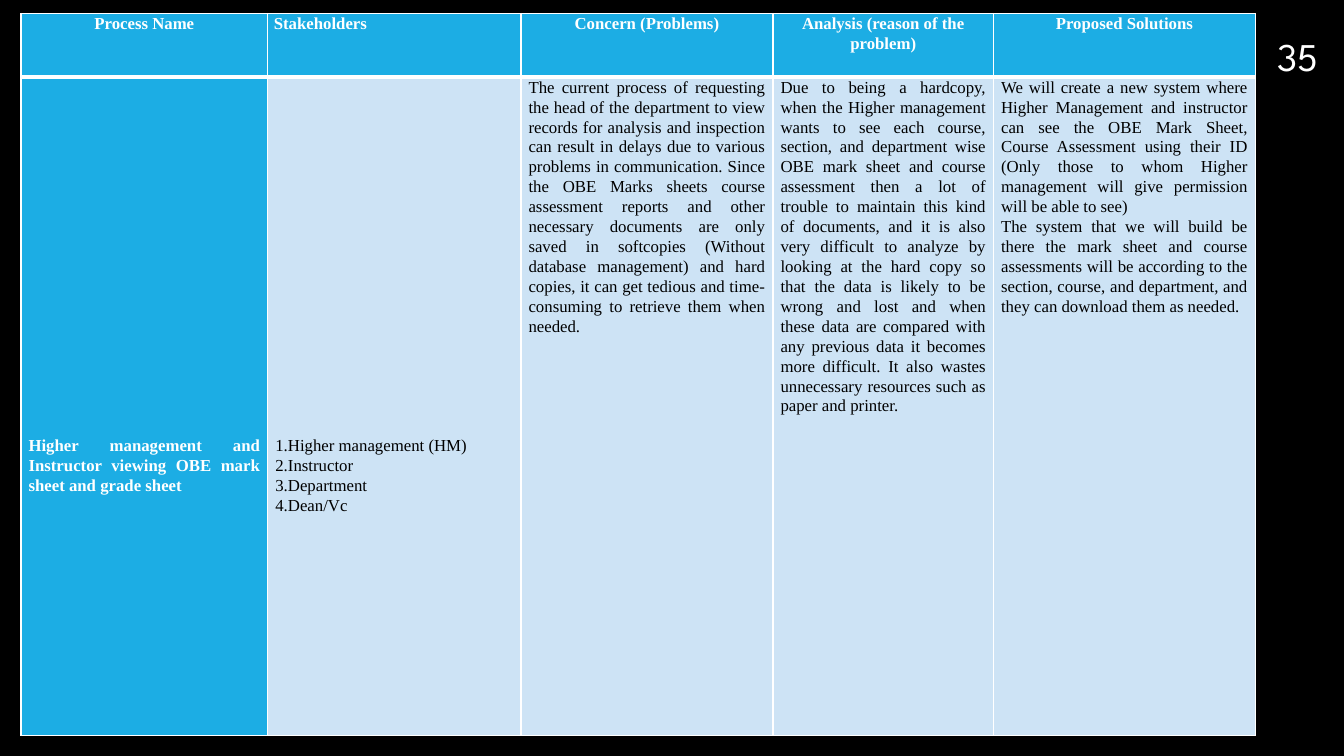
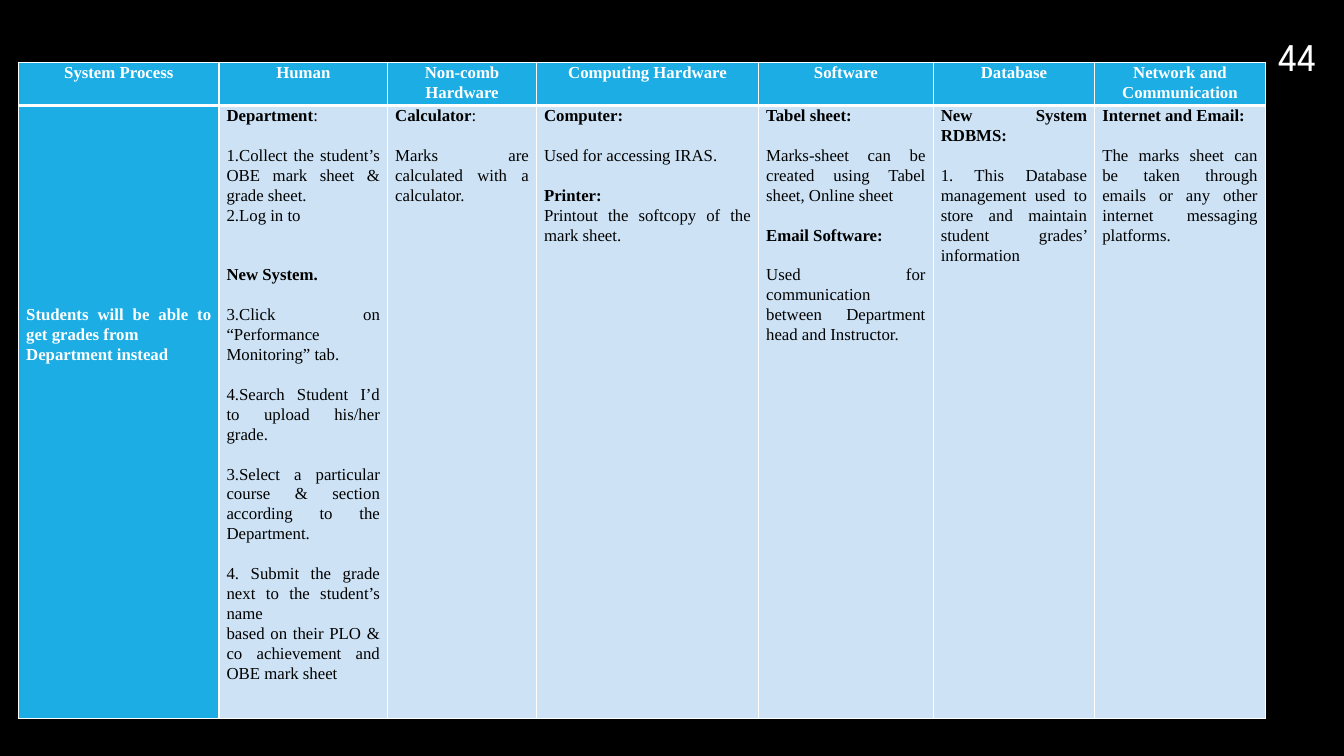
from lxml import etree
from pptx import Presentation
from pptx.dml.color import RGBColor
from pptx.enum.text import MSO_ANCHOR, PP_ALIGN
from pptx.oxml.ns import qn
from pptx.util import Cm, Pt

LEFT, CENTER, JUSTIFY = PP_ALIGN.LEFT, PP_ALIGN.CENTER, PP_ALIGN.JUSTIFY
BOTTOM = MSO_ANCHOR.BOTTOM
BLACK, WHITE, BLUE, PALE = "000000", "FFFFFF", "1CADE4", "CDE3F5"
BODY_FONT, NUMBER_FONT = "Times New Roman", "League Spartan"
LINE_PITCH = 14.2
BODY_INSET = 0.19

CONCERN_HEADERS = [
    "Process Name", "Stakeholders", "Concern (Problems)",
    "Analysis (reason of the problem)", "Proposed Solutions",
]
# Each paragraph is (bold text, regular text, blank lines before).
CONCERN_CELLS = [
    [("Higher management and Instructor viewing OBE mark sheet and grade sheet", "", 0)],
    [
        ("", "1.Higher management (HM)", 0),
        ("", "2.Instructor", 0),
        ("", "3.Department", 0),
        ("", "4.Dean/Vc", 0),
    ],
    [("", "The current process of requesting the head of the department to view records "
      "for analysis and inspection can result in delays due to various problems in "
      "communication. Since the OBE Marks sheets course assessment reports and other "
      "necessary documents are only saved in softcopies (Without database management) "
      "and hard copies, it can get tedious and time-consuming to retrieve them when "
      "needed.", 0)],
    [("", "Due to being a hardcopy, when the Higher management wants to see each course, "
      "section, and department wise OBE mark sheet and course assessment then a lot of "
      "trouble to maintain this kind of documents, and it is also very difficult to "
      "analyze by looking at the hard copy so that the data is likely to be wrong and "
      "lost and when these data are compared with any previous data it becomes more "
      "difficult. It also wastes unnecessary resources such as paper and printer.", 0)],
    [
        ("", "We will create a new system where Higher Management and instructor can see "
         "the OBE Mark Sheet, Course Assessment using their ID (Only those to whom Higher "
         "management will give permission will be able to see)", 0),
        ("", "The system that we will build be there the mark sheet and course assessments "
         "will be according to the section, course, and department, and they can download "
         "them as needed.", 0),
    ],
]

ELEMENT_HEADERS = [
    "System Process", "Human", "Non-comb Hardware", "Computing Hardware",
    "Software", "Database", "Network and Communication",
]
ELEMENT_CELLS = [
    [
        ("Students will be able to get grades from", "", 0),
        ("Department instead", "", 0),
    ],
    [
        ("Department", ":", 0),
        ("", "1.Collect the student’s OBE mark sheet & grade sheet.", 1),
        ("", "2.Log in to", 0),
        ("New System.", "", 2),
        ("", "3.Click on “Performance Monitoring” tab.", 1),
        ("", "4.Search Student I’d to upload his/her grade.", 1),
        ("", "3.Select a particular course & section according to the Department.", 1),
        ("", "4. Submit the grade next to the student’s name", 1),
        ("", "based on their PLO & co achievement and OBE mark sheet", 0),
    ],
    [
        ("Calculator", ":", 0),
        ("", "Marks are calculated with a calculator.", 1),
    ],
    [
        ("Computer:", "", 0),
        ("", "Used for accessing IRAS.", 1),
        ("Printer:", "", 1),
        ("", "Printout the softcopy of the mark sheet.", 0),
    ],
    [
        ("Tabel sheet:", "", 0),
        ("", "Marks-sheet can be created using Tabel sheet, Online sheet", 1),
        ("Email Software:", "", 1),
        ("", "Used for communication between Department head and Instructor.", 1),
    ],
    [
        ("New System RDBMS:", "", 0),
        ("", "1. This Database management used to store and maintain student grades’ "
         "information", 1),
    ],
    [
        ("Internet and Email:", "", 0),
        ("", "The marks sheet can be taken through emails or any other internet messaging "
         "platforms.", 1),
    ],
]


def rgb(color):
    """Turn a hex string into a colour."""
    return RGBColor.from_string(color)


def style_font(font, name, size, color, bold=False):
    """Set the typeface, size, colour and weight of a font."""
    font.name, font.size, font.bold = name, Pt(size), bold
    font.color.rgb = rgb(color)


def add_slide(prs, number):
    """Add a black slide with its number in the top right corner."""
    s = prs.slides.add_slide(prs.slide_layouts[6])
    s.background.fill.solid()
    s.background.fill.fore_color.rgb = rgb(BLACK)
    tf = s.shapes.add_textbox(Cm(31.55), Cm(0), Cm(2.32), Cm(2.13)).text_frame
    tf.word_wrap = True
    tf.vertical_anchor = BOTTOM
    tf.text = number
    p = tf.paragraphs[0]
    p.alignment = CENTER
    style_font(p.runs[0].font, NUMBER_FONT, 28, WHITE)
    return s


def set_borders(cell, top, bottom):
    """Draw white cell borders, with top and bottom widths in points."""
    tc_pr = cell._tc.get_or_add_tcPr()
    sides = (("lnL", 1), ("lnR", 1), ("lnT", top), ("lnB", bottom))
    for position, (side, width) in enumerate(sides):
        line = etree.Element(qn(f"a:{side}"), w=str(Pt(width)))
        fill = etree.SubElement(line, qn("a:solidFill"))
        etree.SubElement(fill, qn("a:srgbClr"), val=WHITE)
        tc_pr.insert(position, line)


def fill_cell(cell, paragraphs, fill, color, align, inset, top=0):
    """Fill a cell and write its paragraphs of bold and regular text."""
    cell.fill.solid()
    cell.fill.fore_color.rgb = rgb(fill)
    cell.margin_left = cell.margin_right = Cm(inset)
    cell.margin_top, cell.margin_bottom = Cm(top), Cm(0)
    tf = cell.text_frame
    tf.text = "\n".join(bold + regular for bold, regular, _ in paragraphs)
    for p, (bold, regular, gap) in zip(tf.paragraphs, paragraphs):
        p.alignment, p.line_spacing = align, 1.07
        if gap:
            p.space_before = Pt(gap * LINE_PITCH)
        r = p.runs[0]
        r.text = bold or regular
        style_font(r.font, BODY_FONT, 12, color, bool(bold))
        if bold and regular:
            r = p.add_run()
            r.text = regular
            style_font(r.font, BODY_FONT, 12, color)


def add_analysis_table(s, left, top, widths, heights, headers, cells,
                       header_inset, lowered, left_headers=()):
    """Add a header row and one body row; lowered gives top insets by column."""
    table = s.shapes.add_table(2, len(widths), Cm(left), Cm(top),
                               Cm(sum(widths)), Cm(sum(heights))).table
    table.horz_banding = False
    for row, height in zip(table.rows, heights):
        row.height = Cm(height)
    for i, (width, header, body) in enumerate(zip(widths, headers, cells)):
        table.columns[i].width = Cm(width)
        align = LEFT if header in left_headers else CENTER
        fill_cell(table.cell(0, i), [(header, "", 0)], BLUE, WHITE, align, header_inset)
        set_borders(table.cell(0, i), 1, 3)
        fill, color = (PALE, BLACK) if i else (BLUE, WHITE)
        fill_cell(table.cell(1, i), body, fill, color, JUSTIFY, BODY_INSET,
                  lowered.get(i, 0))
        set_borders(table.cell(1, i), 3, 1)


def main():
    """Build both slides and save the presentation."""
    prs = Presentation()
    prs.slide_width, prs.slide_height = Cm(33.87), Cm(19.05)
    add_analysis_table(
        add_slide(prs, "35"), 0.53, 0.34, [6.22, 6.38, 6.35, 5.56, 6.6], [1.6, 16.6],
        CONCERN_HEADERS, CONCERN_CELLS, 0.15, {0: 9.04, 1: 9.04}, ("Stakeholders",))
    add_analysis_table(
        add_slide(prs, "44"), 0.47, 1.57, [5.05, 4.25, 3.75, 5.6, 4.4, 4.07, 4.3],
        [1.07, 15.4], ELEMENT_HEADERS, ELEMENT_CELLS, 0.08, {0: 5.02})
    prs.save("out.pptx")


if __name__ == "__main__":
    main()
